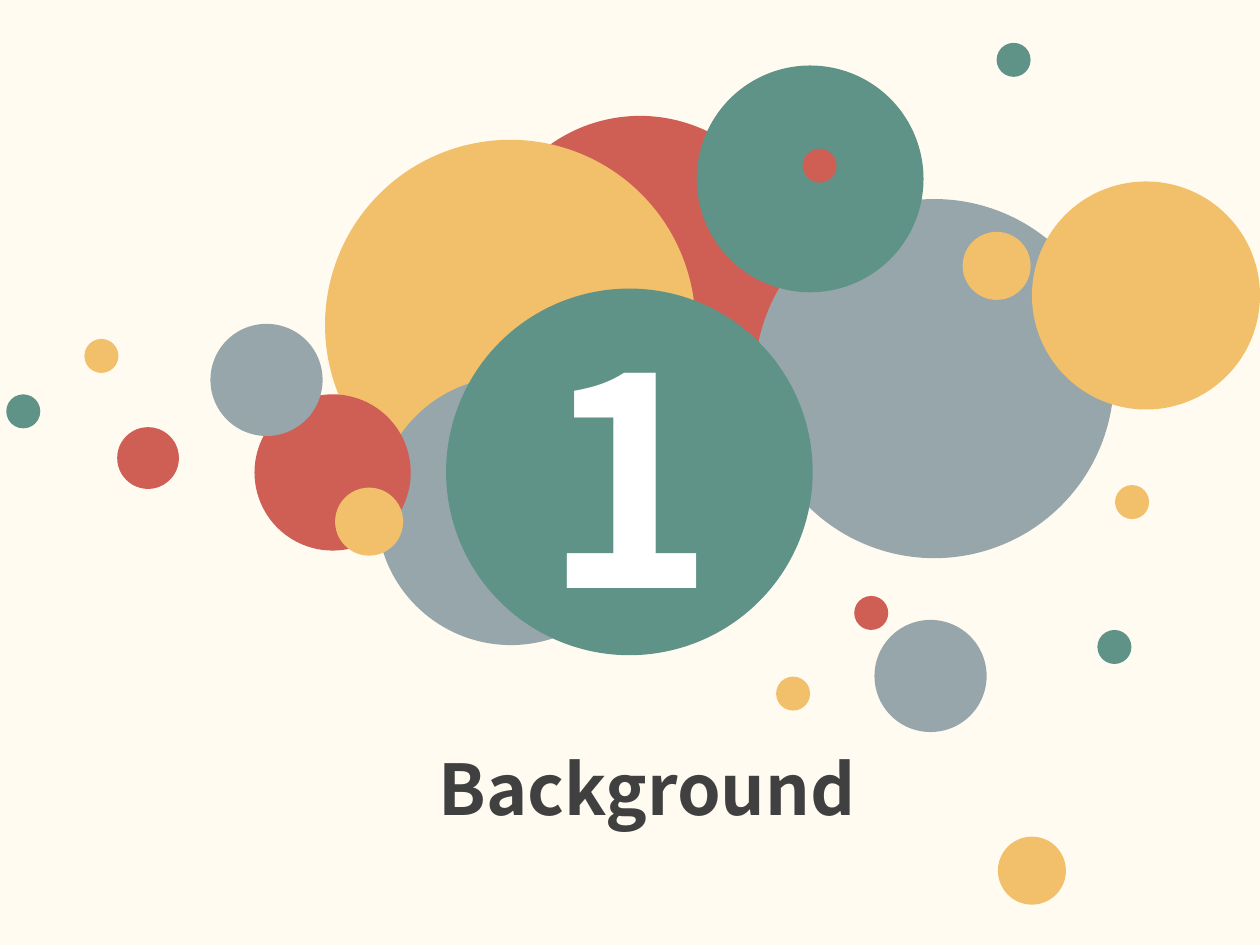
"""Build a section slide with a numbered disc among coloured bubbles."""
import pptx
import pptx.util
import pptx.dml.color
import pptx.enum.shapes
import pptx.enum.text

HUES = {"cream": "FFFBF0", "red": "CF5F55", "gold": "F2C06B", "gray": "97A6AB",
        "green": "5F9387", "white": "FFFFFF", "ink": "404040"}
TINY, SMALL, MID = 2.7, 5.4, 8.9
DOTS = [
    (38.5, 9.2, 24.6, "red"), (25.8, 11.1, 29.4, "gold"),
    (29.9, 29.9, 21.3, "gray"), (59.9, 15.8, 28.5, "gray"),
    (55.3, 5.2, 18, "green"), (20.2, 31.3, 12.4, "red"),
    (69.4, 49.2, MID, "gray"), (67.8, 47.3, TINY, "red"),
    (61.6, 53.7, TINY, "gold"), (87.1, 50, TINY, "green"),
    (79.2, 66.4, SMALL, "gold"), (81.9, 14.4, 18.1, "gold"),
    (16.7, 25.7, MID, "gray"), (9.3, 33.9, 4.9, "red"),
    (6.7, 26.9, TINY, "gold"), (0.5, 31.3, TINY, "green"),
    (26.6, 38.7, SMALL, "gold"), (63.7, 11.8, TINY, "red"),
    (88.5, 38.5, TINY, "gold"), (79.1, 3.4, TINY, "green"),
    (76.4, 18.4, SMALL, "gold"),
]


class Deck:
    """Hold the style and the current slide on a grid of 100 columns by 75 rows."""

    def __init__(self):
        self.pres = pptx.Presentation()
        self.pres.slide_width = pptx.util.Inches(10)
        self.pres.slide_height = pptx.util.Inches(7.5)
        self.cell = self.pres.slide_width / 100
        self.font = {"name": "Noto Sans CJK SC", "bold": True}
        self.slide = self.pres.slides.add_slide(self.pres.slide_layouts[6])
        self.paint(self.slide.background.fill, "cream")

    def grid(self, *spans):
        """Turn grid spans into lengths."""
        return [round(span * self.cell) for span in spans]

    def paint(self, fill, hue):
        """Fill with one named colour."""
        fill.solid()
        fill.fore_color.rgb = pptx.dml.color.RGBColor.from_string(HUES[hue])

    def disc(self, col, row, size, hue):
        """Add a plain circle."""
        kind = pptx.enum.shapes.MSO_SHAPE.OVAL
        shape = self.slide.shapes.add_shape(kind, *self.grid(col, row, size, size))
        shape.shadow.inherit = False
        self.paint(shape.fill, hue)
        shape.line.fill.background()
        return shape

    def words(self, shape, text, size, hue, **form):
        """Set centred text with the deck font."""
        for key, value in {"word_wrap": True, **form}.items():
            setattr(shape.text_frame, key, value)
        para = shape.text_frame.paragraphs[0]
        para.alignment = pptx.enum.text.PP_ALIGN.CENTER
        run = para.add_run()
        run.text = text
        for key, value in {**self.font, "size": pptx.util.Pt(size)}.items():
            setattr(run.font, key, value)
        self.paint(run.font.fill, hue)

    def label(self, col, row, wide, high, text, size, hue):
        """Add a text box that grows with its text."""
        box = self.slide.shapes.add_textbox(*self.grid(col, row, wide, high))
        self.words(box, text, size, hue,
                   auto_size=pptx.enum.text.MSO_AUTO_SIZE.SHAPE_TO_FIT_TEXT)


def main():
    """Draw the slide and save it."""
    deck = Deck()
    for dot in DOTS:
        deck.disc(*dot)
    badge = deck.disc(35.4, 22.9, 29.1, "green")
    deck.words(badge, "1", 166, "white",
               vertical_anchor=pptx.enum.text.MSO_ANCHOR.MIDDLE)
    deck.label(21.2, 58.7, 60.3, 7.7, "Background", 40, "ink")
    deck.pres.save("out.pptx")


if __name__ == "__main__":
    main()
